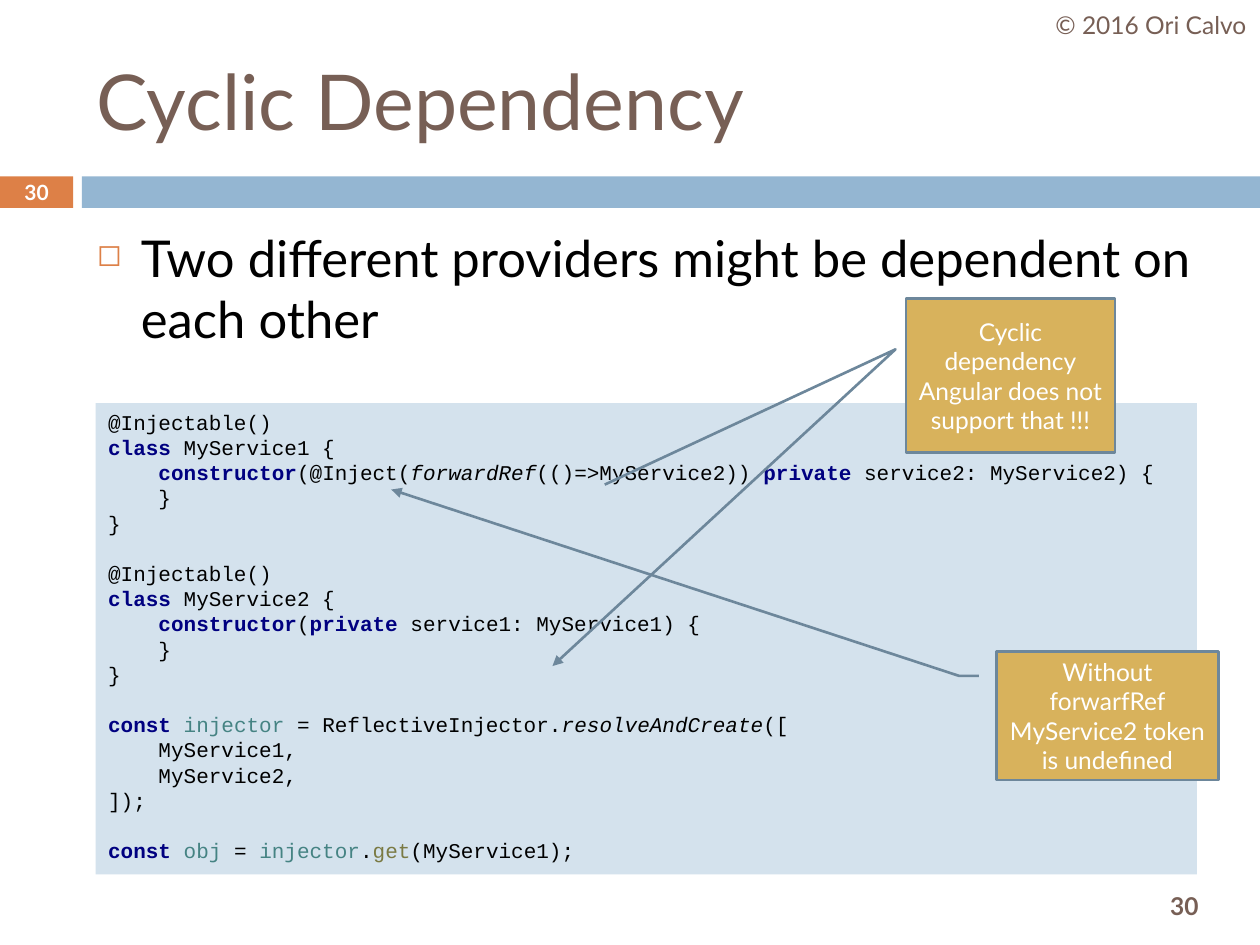
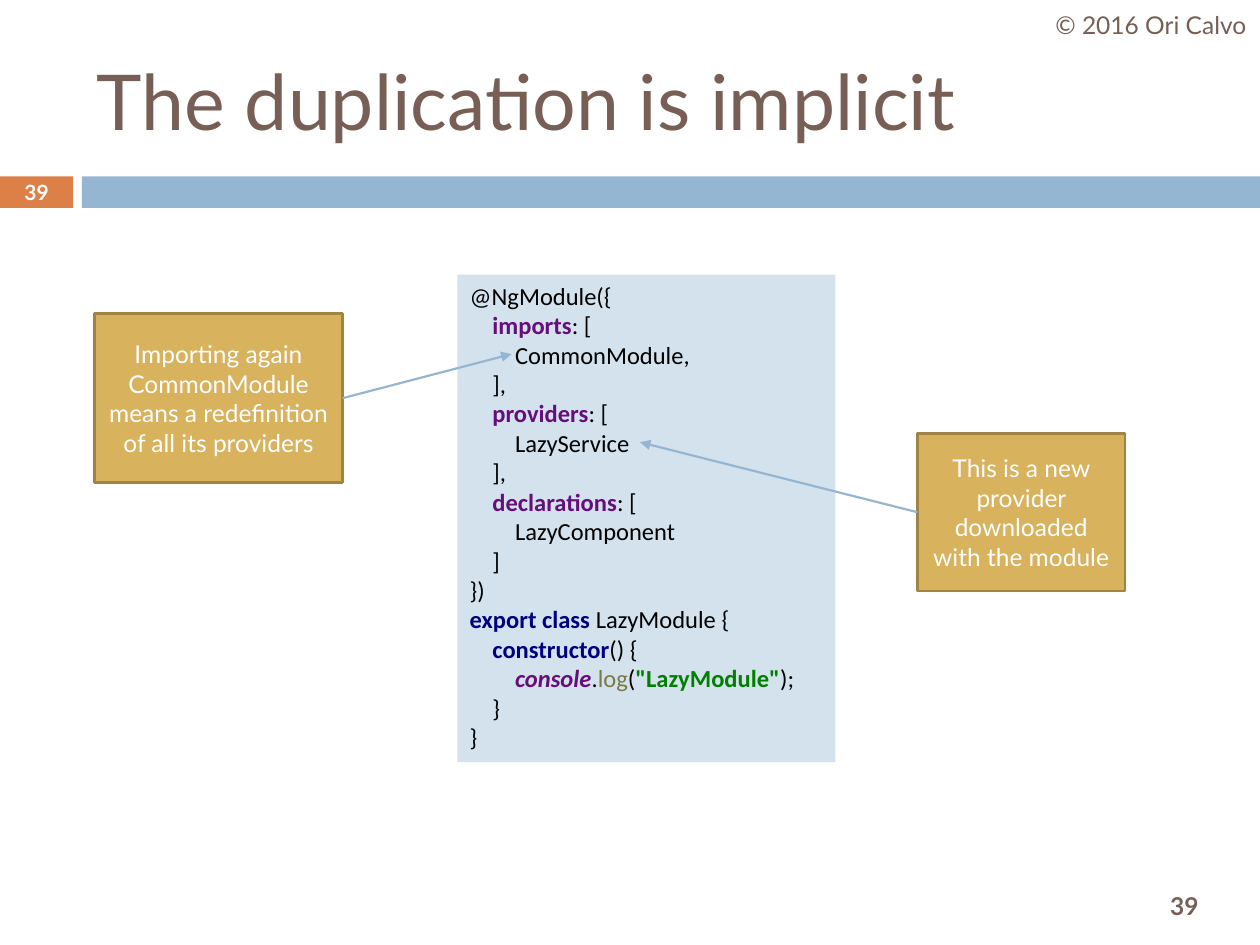
from lxml import etree
from pptx import Presentation
from pptx.dml.color import RGBColor
from pptx.enum.shapes import MSO_CONNECTOR, MSO_SHAPE
from pptx.enum.text import MSO_ANCHOR, PP_ALIGN
from pptx.oxml.ns import qn
from pptx.util import Emu, Pt

PX = 9144
RECT = MSO_SHAPE.RECTANGLE
CALLOUT = MSO_SHAPE.LINE_CALLOUT_2
STRAIGHT = MSO_CONNECTOR.STRAIGHT
LEFT, CENTER = PP_ALIGN.LEFT, PP_ALIGN.CENTER
TOP, MIDDLE = MSO_ANCHOR.TOP, MSO_ANCHOR.MIDDLE

COLORS = {
    "brown": "775F55", "orange": "DD8047", "blue": "94B6D2",
    "pale": "D4E2ED", "gold": "D8B25C", "slate": "6D879B",
    "bronze": "A08444", "white": "FFFFFF", "black": "000000",
    "navy": "000080", "teal": "458383", "olive": "7A7A43",
    "purple": "660E7A", "green": "008000",
}
RGB = {name: RGBColor.from_string(value) for name, value in COLORS.items()}

STYLES = {
    "key": ("navy", True, False),
    "var": ("teal", False, False),
    "func": ("olive", False, False),
    "call": ("black", False, True),
    "prop": ("purple", True, False),
    "global": ("purple", True, True),
    "str": ("green", True, False),
}


def add_box(slide, at, fill=None, line=None, kind=RECT):
    x, y, w, h = [Emu(v * PX) for v in at]
    if fill is None:
        return slide.shapes.add_textbox(x, y, w, h)
    sp = slide.shapes.add_shape(kind, x, y, w, h)
    sp.shadow.inherit = False
    sp.fill.solid()
    sp.fill.fore_color.rgb = RGB[fill]
    if line:
        sp.line.color.rgb = RGB[line]
        sp.line.width = Pt(1.5)
    else:
        sp.line.fill.background()
    return sp


def write(sp, lines, size, color, bold=False, align=CENTER, anchor=MIDDLE, font="Lato"):
    tf = sp.text_frame
    tf.word_wrap = True
    tf.vertical_anchor = anchor
    for i, text in enumerate(lines):
        p = tf.paragraphs[0] if i == 0 else tf.add_paragraph()
        p.alignment = align
        p.font.name = font
        p.font.size = Pt(size)
        p.font.bold = bold
        p.font.color.rgb = RGB[color]
        for piece in [text] if isinstance(text, str) else text:
            r = p.add_run()
            if isinstance(piece, str):
                r.text = piece
            else:
                r.text, style = piece
                shade, r.font.bold, r.font.italic = STYLES[style]
                r.font.color.rgb = RGB[shade]
    return tf


prs = Presentation()
prs.slide_width, prs.slide_height = Emu(1000 * PX), Emu(750 * PX)

slides = []
for number, title in [("30", "Cyclic Dependency"), ("39", "The duplication is implicit")]:
    slide = prs.slides.add_slide(prs.slide_layouts[6])
    add_box(slide, (0, 140, 58, 25), "orange")
    add_box(slide, (65, 140, 935, 25), "blue")
    write(add_box(slide, (894, 698, 92, 42)), [number], 14, "brown", bold=True)
    write(add_box(slide, (67, 25, 892, 108)), [title], 44, "brown", align=LEFT)
    write(add_box(slide, (827, 0, 173, 40)), ["© 2016 Ori Calvo"], 14, "brown")
    write(add_box(slide, (0, 139, 58, 27)), [number], 12, "white", bold=True)
    slides.append(slide)
cyclic, duplication = slides

sp = add_box(cyclic, (67, 175, 892, 492))
tf = write(sp, ["Two different providers might be dependent on each other"],
           29, "black", align=LEFT, anchor=TOP)
p = tf.paragraphs[0]
p.space_before = Pt(7)
pPr = p._p.get_or_add_pPr()
pPr.set("marL", str(35 * PX))
pPr.set("indent", str(-35 * PX))
defRPr = pPr.find(qn("a:defRPr"))
buClr = etree.Element(qn("a:buClr"))
etree.SubElement(buClr, qn("a:srgbClr"), val=COLORS["orange"])
defRPr.addprevious(buClr)
defRPr.addprevious(etree.Element(qn("a:buSzPct"), val="60000"))
defRPr.addprevious(etree.Element(qn("a:buChar"), char="◻"))

service_code = [
    (0, ["@Injectable()"]),
    (0, [("class ", "key"), "MyService1 {"]),
    (1, [("constructor", "key"), "(@Inject(", ("forwardRef", "call"),
         "(()=>MyService2)) ", ("private ", "key"), "service2: MyService2) {"]),
    (1, ["}"]),
    (0, ["}"]),
    (0, ["@Injectable()"]),
    (0, [("class ", "key"), "MyService2 {"]),
    (1, [("constructor", "key"), "(", ("private ", "key"), "service1: MyService1) {"]),
    (1, ["}"]),
    (0, ["}"]),
    (0, [("const ", "key"), ("injector ", "var"), "= ReflectiveInjector.",
         ("resolveAndCreate", "call"), "(["]),
    (1, ["MyService1,"]),
    (1, ["MyService2,"]),
    (0, ["]);"]),
    (0, [("const ", "key"), ("obj ", "var"), "= ", ("injector", "var"), ".",
         ("get", "func"), "(MyService1);"]),
]
module_code = [
    (0, ["@NgModule({"]),
    (1, [("imports", "prop"), ": ["]),
    (2, ["CommonModule,"]),
    (1, ["],"]),
    (1, [("providers", "prop"), ": ["]),
    (2, ["LazyService"]),
    (1, ["],"]),
    (1, [("declarations", "prop"), ": ["]),
    (2, ["LazyComponent"]),
    (1, ["]"]),
    (0, ["})"]),
    (0, [("export class ", "key"), "LazyModule {"]),
    (1, [("constructor", "key"), "() {"]),
    (2, [("console", "global"), ".", ("log", "func"), "(", ("\"LazyModule\"", "str"), ");"]),
    (1, ["}"]),
    (0, ["}"]),
]
for slide, at, code, font, size, indent, gaps in [
    (cyclic, (76, 320, 874, 374), service_code, "Courier New", 12, 40, (5, 10, 14)),
    (duplication, (363, 218, 300, 387), module_code, "Calibri", 14, 18, ()),
]:
    sp = add_box(slide, at, "pale")
    tf = write(sp, [pieces for _, pieces in code], size, "black",
               align=LEFT, anchor=TOP, font=font)
    pitch = Pt(1.2 * size)
    for i, (p, (level, _)) in enumerate(zip(tf.paragraphs, code)):
        p.line_spacing = pitch
        if i in gaps:
            p.space_before = pitch
        p._p.get_or_add_pPr().set("marL", str(level * indent * PX))

arrows = []
for at, lines, adjustments in [
    ((791, 517, 176, 102), ["Without forwarfRef MyService2 token is undefined"],
     (0.19, -0.08, 0.19, -0.17, -1.26, -2.73)),
    ((719, 237, 166, 122), ["Cyclic dependency", "Angular does not support that !!!"],
     (1.21, -1.44, 0.33, -0.05, 2.39, -1.69)),
]:
    sp = add_box(cyclic, at, "gold", "slate", CALLOUT)
    for i, value in enumerate(adjustments):
        sp.adjustments[i] = value
    write(sp, lines, 14, "white")
    arrows.append(sp)

for at, text, side, tip in [
    ((75, 249, 197, 134), "Importing again CommonModule means a redefinition of all its providers",
     3, (406, 281)),
    ((728, 344, 165, 125), "This is a new provider downloaded with the module", 1, (508, 351)),
]:
    sp = add_box(duplication, at, "gold", "bronze")
    write(sp, [text], 14, "white")
    x, y = [Emu(v * PX) for v in tip]
    line = duplication.shapes.add_connector(STRAIGHT, sp.left, sp.top, x, y)
    line.begin_connect(sp, side)
    line.line.color.rgb = RGB["blue"]
    line.line.width = Pt(1.25)
    etree.SubElement(line._element.spPr, qn("a:effectLst"))
    arrows.append(line)

for sp in arrows:
    ln = sp._element.spPr.find(qn("a:ln"))
    etree.SubElement(ln, qn("a:tailEnd"), type="triangle")

prs.save("out.pptx")
